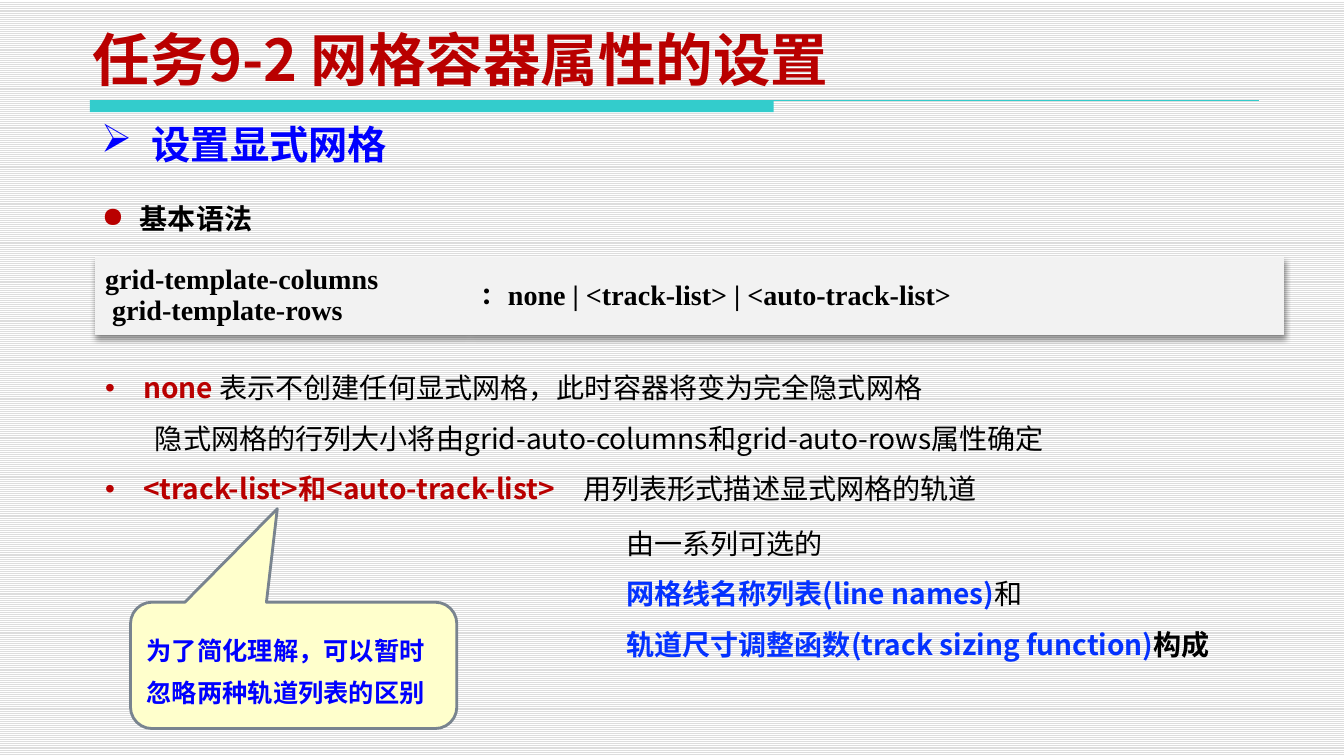
from lxml import etree
from pptx import Presentation
from pptx.dml.color import RGBColor
from pptx.enum.dml import MSO_PATTERN
from pptx.enum.shapes import MSO_CONNECTOR, MSO_SHAPE
from pptx.enum.text import MSO_ANCHOR, MSO_AUTO_SIZE, PP_ALIGN
from pptx.oxml import parse_xml
from pptx.oxml.ns import nsdecls, qn
from pptx.util import Pt

LIGHT_HORIZONTAL = MSO_PATTERN.LIGHT_HORIZONTAL
STRAIGHT = MSO_CONNECTOR.STRAIGHT
RECTANGLE = MSO_SHAPE.RECTANGLE
CALLOUT = MSO_SHAPE.ROUNDED_RECTANGULAR_CALLOUT
MIDDLE, BOTTOM, TOP = MSO_ANCHOR.MIDDLE, MSO_ANCHOR.BOTTOM, MSO_ANCHOR.TOP
NO_AUTOFIT = MSO_AUTO_SIZE.NONE
LEFT = PP_ALIGN.LEFT

WHITE = RGBColor(0xFF, 0xFF, 0xFF)
STRIPE = RGBColor(0xDD, 0xDD, 0xDD)
TEAL = RGBColor(0x33, 0xCC, 0xCC)
RED = RGBColor(0xB9, 0x00, 0x00)
BLUE = RGBColor(0x00, 0x00, 0xFF)
TERM_BLUE = RGBColor(0x04, 0x32, 0xFF)
BLACK = RGBColor(0x00, 0x00, 0x00)
CODE_GRAY = RGBColor(0xF2, 0xF2, 0xF2)
NOTE_YELLOW = RGBColor(0xFF, 0xFF, 0xCC)
NOTE_EDGE = RGBColor(0x79, 0x84, 0x8F)

SANS, HEADING, SERIF = "Noto Sans CJK SC", "DejaVu Sans", "Times New Roman"
NO_GRID_STYLE = "{2D5ABB26-0587-4C30-8999-92F81FD0307C}"


def set_bullet(paragraph, character=None, color=None, indent=0, first_line=0):
    """Set the indents and the bullet; no character means no bullet."""
    properties = paragraph._p.get_or_add_pPr()
    properties.set("marL", str(Pt(indent)))
    properties.set("indent", str(Pt(first_line)))
    if character is None:
        etree.SubElement(properties, qn("a:buNone"))
        return
    bullet_color = etree.SubElement(properties, qn("a:buClr"))
    etree.SubElement(bullet_color, qn("a:srgbClr"), val=str(color))
    etree.SubElement(properties, qn("a:buChar"), char=character)


def write(paragraph, runs, size, name=SANS, spacing=None):
    """Write runs of (text, color, bold) in one font."""
    paragraph.alignment = LEFT
    paragraph.space_before = Pt(0)
    if spacing is not None:
        paragraph.line_spacing = spacing
    font = paragraph.font
    font.size, font.name = Pt(size), name
    defaults = paragraph._p.pPr.find(qn("a:defRPr"))
    etree.SubElement(defaults, qn("a:ea"), typeface=name)
    for text, color, bold in runs:
        run = paragraph.add_run()
        run.text = text
        run.font.color.rgb, run.font.bold = color, bold


def place(shape, left, top, width, height):
    shape.left, shape.top = Pt(left), Pt(top)
    shape.width, shape.height = Pt(width), Pt(height)


def add_text_box(slide, left, top, width, height):
    box = slide.shapes.add_textbox(Pt(left), Pt(top), Pt(width), Pt(height))
    box.text_frame.word_wrap = True
    return box.text_frame


def add_title(slide, left, top, width, height):
    title = slide.shapes.title
    place(title, left, top, width, height)
    frame = title.text_frame
    frame.auto_size, frame.vertical_anchor = NO_AUTOFIT, BOTTOM
    write(frame.paragraphs[0], [("任务9-2 网格容器属性的设置", RED, True)], 41)


def add_title_rule(slide, left, top, width, height):
    # Thick bar under the title
    bar = slide.shapes.add_shape(RECTANGLE, Pt(left), Pt(top),
                                 Pt(width * 0.585), Pt(height))
    bar.shadow.inherit = False
    bar.fill.solid()
    bar.fill.fore_color.rgb = TEAL
    bar.line.fill.background()
    # Thin line across the slide
    line = slide.shapes.add_connector(STRAIGHT, Pt(left), Pt(top),
                                      Pt(left + width), Pt(top))
    line.line.color.rgb, line.line.width = TEAL, Pt(0.75)
    etree.SubElement(line._element.spPr, qn("a:effectLst"))


def add_heading(slide, left, top, width, height, text, bullet, bullet_color,
                indent, color, size, name, spacing):
    paragraph = add_text_box(slide, left, top, width, height).paragraphs[0]
    set_bullet(paragraph, bullet, bullet_color, indent, -indent)
    write(paragraph, [(text, color, True)], size, name, spacing)


def add_syntax_table(slide, left, top, width, height):
    frame = slide.shapes.add_table(1, 2, Pt(left), Pt(top), Pt(width), Pt(height))
    table = frame.table
    name_width = 267
    table.columns[0].width = Pt(name_width)
    table.columns[1].width = Pt(width - name_width)
    table.first_row = table.horz_banding = False
    # Plain style with a soft shadow below
    properties = table._tbl.tblPr
    properties.find(qn("a:tableStyleId")).text = NO_GRID_STYLE
    properties.insert(0, parse_xml(
        f'<a:effectLst {nsdecls("a")}><a:outerShdw blurRad="50800" dist="38100" '
        'dir="5400000" algn="t" rotWithShape="0"><a:prstClr val="black">'
        '<a:alpha val="40000"/></a:prstClr></a:outerShdw></a:effectLst>'))
    contents = [["grid-template-columns", " grid-template-rows"],
                ["：none | <track-list> | <auto-track-list>"]]
    for cell, lines in zip(table.rows[0].cells, contents):
        cell.fill.solid()
        cell.fill.fore_color.rgb = CODE_GRAY
        cell.vertical_anchor = MIDDLE
        for index, line in enumerate(lines):
            text_frame = cell.text_frame
            paragraph = text_frame.add_paragraph() if index else text_frame.paragraphs[0]
            write(paragraph, [(line, BLACK, True)], 20, SERIF)


def add_value_list(slide, left, top, width, height):
    body = slide.placeholders[1]
    place(body, left, top, width, height)
    frame = body.text_frame
    frame.auto_size, frame.vertical_anchor = NO_AUTOFIT, TOP
    items = [
        (True, [("none ", RED, True),
                ("表示不创建任何显式网格，此时容器将变为完全隐式网格", BLACK, False)]),
        (False, [("隐式网格的行列大小将由grid-auto-columns和grid-auto-rows属性确定",
                  BLACK, False)]),
        (True, [("<track-list>和<auto-track-list>", RED, True),
                ("　用列表形式描述显式网格的轨道", BLACK, False)]),
    ]
    for index, (bulleted, runs) in enumerate(items):
        paragraph = frame.add_paragraph() if index else frame.paragraphs[0]
        if bulleted:
            set_bullet(paragraph, "•", RED, 27, -27)
        else:
            set_bullet(paragraph, indent=35.5)
        write(paragraph, runs, 20, spacing=1.5)


def add_track_details(slide, left, top, width, height):
    frame = add_text_box(slide, left, top, width, height)
    lines = [
        [("由一系列可选的", BLACK, False)],
        [("网格线名称列表(line names)", TERM_BLUE, True), ("和", BLACK, False)],
        [("轨道尺寸调整函数(track sizing function)", TERM_BLUE, True),
         ("构成", BLACK, True)],
    ]
    for index, runs in enumerate(lines):
        paragraph = frame.add_paragraph() if index else frame.paragraphs[0]
        write(paragraph, runs, 20, spacing=1.5)


def add_note(slide, left, top, width, height):
    note = slide.shapes.add_shape(CALLOUT, Pt(left), Pt(top), Pt(width), Pt(height))
    note.shadow.inherit = False
    for index, value in enumerate((-0.05, -1.24, 0.17)):
        note.adjustments[index] = value
    note.fill.solid()
    note.fill.fore_color.rgb = NOTE_YELLOW
    note.line.color.rgb, note.line.width = NOTE_EDGE, Pt(2)
    frame = note.text_frame
    frame.word_wrap, frame.vertical_anchor = True, MIDDLE
    write(frame.paragraphs[0],
          [("为了简化理解，可以暂时忽略两种轨道列表的区别", BLUE, True)],
          18, HEADING, Pt(30))


def main():
    presentation = Presentation()
    presentation.slide_width, presentation.slide_height = Pt(957.6), Pt(538.56)
    slide = presentation.slides.add_slide(presentation.slide_layouts[1])
    # Striped background
    background = slide.background.fill
    background.patterned()
    background.pattern = LIGHT_HORIZONTAL
    background.fore_color.rgb, background.back_color.rgb = STRIPE, WHITE
    # Title region
    add_title_rule(slide, 64, 71.3, 833, 8.6)
    add_title(slide, 59, 20, 578, 50)
    # Section headings
    add_heading(slide, 65, 82, 481, 42, "设置显式网格", "➢", BLUE, 36,
                BLUE, 28, HEADING, 1)
    add_heading(slide, 65.5, 128, 123, 38, "基本语法", "●", RED, 27,
                BLACK, 20, SANS, 1.5)
    # Syntax and its values
    add_syntax_table(slide, 67.7, 183, 847.5, 55.4)
    add_value_list(slide, 67.7, 248.4, 889.9, 111)
    add_note(slide, 93, 429, 232.5, 90)
    add_track_details(slide, 439, 359.3, 453.6, 111)
    presentation.save("out.pptx")


if __name__ == "__main__":
    main()
